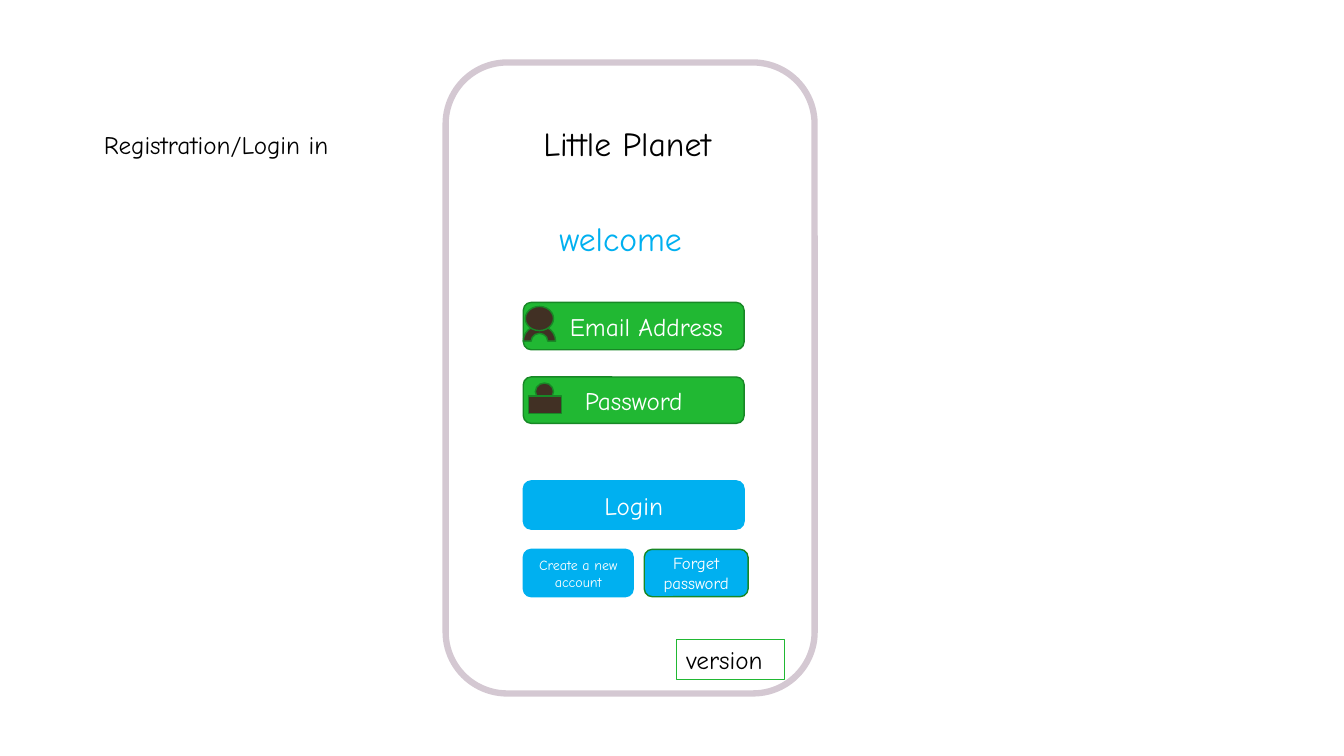
from pptx import Presentation
from pptx.dml.color import RGBColor
from pptx.enum.shapes import MSO_SHAPE as Kind
from pptx.enum.text import MSO_ANCHOR as Anchor, MSO_AUTO_SIZE as Fit, PP_ALIGN as Align
from pptx.util import Inches, Pt

FONT = "Comic Neue"
BLACK, WHITE, BLUE = "000000", "FFFFFF", "00B0F0"
GREEN, EDGE, BROWN, FRAME = "21B833", "188826", "413024", "D4C8D2"
LEFT, WIDE = 5.19, 2.19

TITLE = ("Registration/Login in", (0.93, 1.23, 3, 0.4), 18, BLACK)
LABELS = [
    ("Little Planet", (5.29, 1.17, 3, 0.5), 24, BLACK),
    ("welcome", (5.45, 2.11, 3, 0.5), 24, BLUE),
]
PHONE = (4.42, 0.62, 3.66, 6.26)
BUTTONS = [
    ("Email Address", (LEFT, 3, WIDE, 0.47), 18, GREEN, EDGE, 0.35),
    ("Password", (LEFT, 3.74, WIDE, 0.46), 18, GREEN, EDGE, 0.1),
    ("Login", (LEFT, 4.77, WIDE, 0.48), 18, BLUE, BLUE, 0.1),
    ("Create a new account", (LEFT, 5.45, 1.09, 0.47), 10, BLUE, BLUE, 0.1),
    ("Forget password", (6.39, 5.45, 1.03, 0.47), 12, BLUE, EDGE, 0.1),
]
ICONS = [
    (Kind.BLOCK_ARC, (LEFT, 3.23, 0.32, 0.31)),
    (Kind.OVAL, (5.21, 3.04, 0.28, 0.24)),
    (Kind.OVAL, (5.31, 3.8, 0.18, 0.17)),
    (Kind.RECTANGLE, (5.24, 3.93, 0.33, 0.17)),
]
VERSION = ("version", (6.71, 6.34, 1.07, 0.4), 18, BLACK)


def paint(color, code):
    color.rgb = RGBColor.from_string(code)


def place(box):
    return [Inches(n) for n in box]


def write(shape, text, size, code, align=Align.LEFT, anchor=Anchor.TOP):
    frame = shape.text_frame
    frame.text = text
    frame.word_wrap = True
    frame.auto_size = Fit.NONE
    frame.vertical_anchor = anchor
    para = frame.paragraphs[0]
    para.alignment = align
    para.font.name = FONT
    para.font.size = Pt(size)
    paint(para.font.color, code)


def draw(slide, kind, box, fill, line, width):
    shape = slide.shapes.add_shape(kind, *place(box))
    shape.shadow.inherit = False
    if fill:
        shape.fill.solid()
        paint(shape.fill.fore_color, fill)
    else:
        shape.fill.background()
    paint(shape.line.color, line)
    shape.line.width = Pt(width)
    return shape


def main():
    deck = Presentation()
    deck.slide_width, deck.slide_height = Inches(13.33), Inches(7.5)
    slide = deck.slides.add_slide(deck.slide_layouts[5])

    text, box, size, code = TITLE
    title = slide.shapes.title
    title.left, title.top, title.width, title.height = place(box)
    write(title, text, size, code)

    draw(slide, Kind.ROUNDED_RECTANGLE, PHONE, None, FRAME, 4.5)
    for text, box, size, code in LABELS:
        write(slide.shapes.add_textbox(*place(box)), text, size, code)
    for text, box, size, fill, line, inset in BUTTONS:
        button = draw(slide, Kind.ROUNDED_RECTANGLE, box, fill, line, 1)
        write(button, text, size, WHITE, Align.CENTER, Anchor.MIDDLE)
        button.text_frame.margin_left = Inches(inset)
    for kind, box in ICONS:
        draw(slide, kind, box, BROWN, EDGE, 1)

    text, box, size, code = VERSION
    write(draw(slide, Kind.RECTANGLE, box, None, GREEN, 0.75), text, size, code)

    deck.save("out.pptx")


if __name__ == "__main__":
    main()
